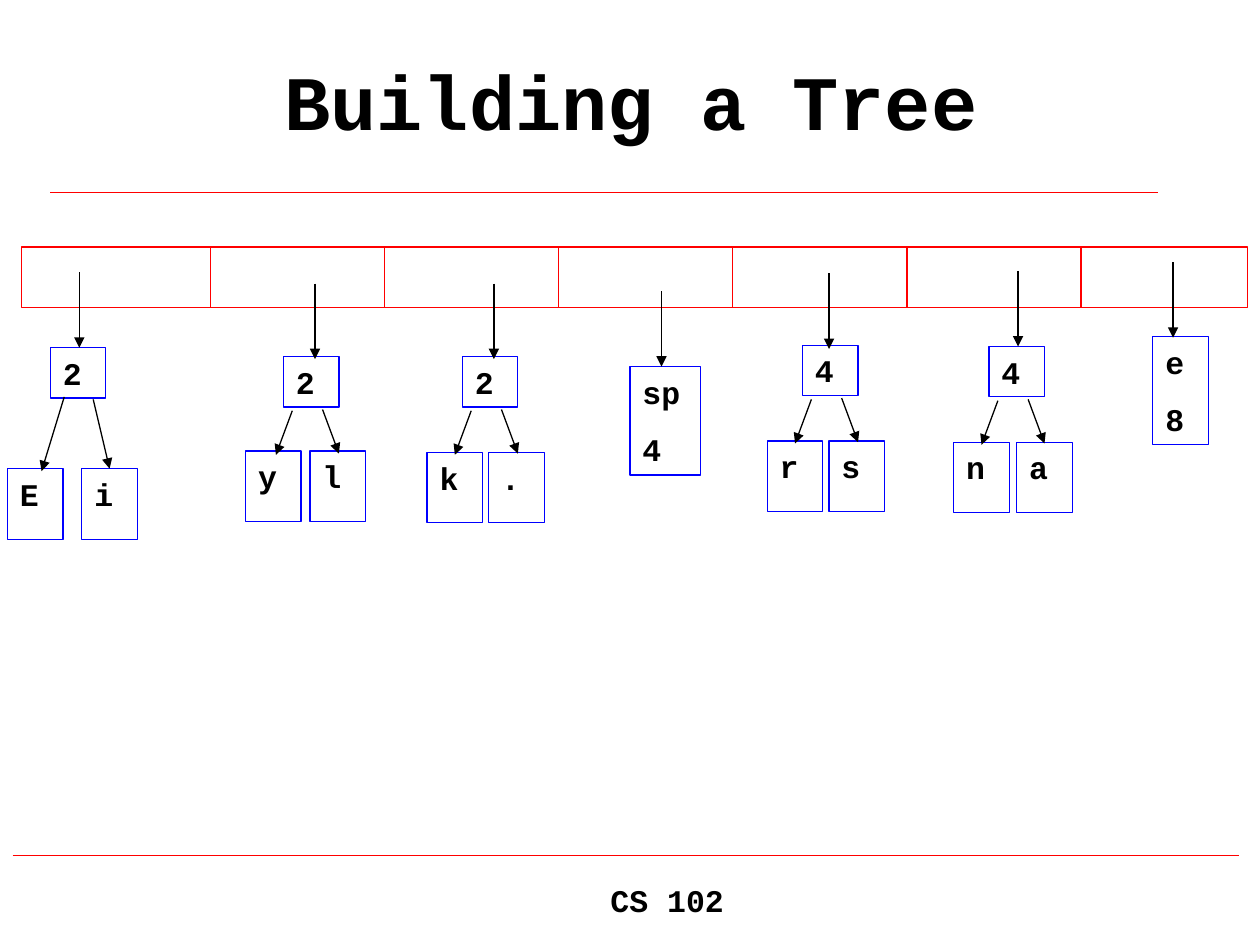
from dataclasses import dataclass

from lxml import etree
from pptx import Presentation
from pptx import util as u
from pptx.dml.color import RGBColor
from pptx.enum import shapes, text
from pptx.oxml.ns import qn

COLORS = {"rule": "FF0000", "node": "0000FF", "ink": "000000", "paper": "FFFFFF"}
FONT = "Courier New"
NODE_W, ROOT_H, LEAF_H, PAIR_H = 0.44, 0.4, 0.56, 0.86
POINTER = 0.6
BAR_X, BAR_Y, BAR_W, BAR_H = 0.17, 1.96, 9.73, 0.48
FIRST_DIVIDER, LAST_DIVIDER, DIVIDERS = 1.67, 8.58, 6

Edge = tuple[float, float, float, float]


@dataclass
class Leaf:
    char: str
    x: float


@dataclass
class Tree:
    weight: str
    x: float
    y: float
    leaves: tuple[Leaf, Leaf]
    pointer: tuple[float, float]
    drop: float = 0.76
    edges: tuple[Edge, Edge] = ((0.07, 0.43, -0.06, 0.78), (0.31, 0.42, 0.44, 0.77))


@dataclass
class Single:
    lines: tuple[str, str]
    x: float
    y: float
    w: float
    pointer: tuple[float, float]


TREES = [
    Tree("2", 0.4, 2.76, (Leaf("E", 0.06), Leaf("i", 0.65)), (0.63, 2.16), 0.96,
         ((0.11, 0.39, -0.07, 0.98), (0.34, 0.41, 0.47, 0.96))),
    Tree("2", 2.25, 2.83, (Leaf("y", 1.95), Leaf("l", 2.46)), (2.5, 2.25), 0.75),
    Tree("2", 3.67, 2.83, (Leaf("k", 3.39), Leaf(".", 3.88)), (3.92, 2.25)),
    Tree("4", 6.37, 2.74, (Leaf("r", 6.09), Leaf("s", 6.58)), (6.58, 2.17)),
    Tree("4", 7.85, 2.75, (Leaf("n", 7.57), Leaf("a", 8.07)), (8.08, 2.15)),
]
SINGLES = [
    Single(("sp", "4"), 5, 2.91, 0.56, (5.25, 2.31)),
    Single(("e", "8"), 9.15, 2.67, NODE_W, (9.31, 2.08)),
]


def rgb(name: str) -> RGBColor:
    return RGBColor.from_string(COLORS[name])


def add_run(p, content: str, size: float) -> None:
    r = p.add_run()
    r.text = content
    r.font.name = FONT
    r.font.size = u.Pt(size)
    r.font.bold = True
    r.font.color.rgb = rgb("ink")


def add_line(s, x1: float, y1: float, x2: float, y2: float, color: str, arrow: bool = False) -> None:
    c = s.shapes.add_connector(shapes.MSO_CONNECTOR.STRAIGHT,
                               u.Inches(x1), u.Inches(y1), u.Inches(x2), u.Inches(y2))
    c.line.color.rgb = rgb(color)
    c.line.width = u.Pt(0.75)
    if arrow:
        etree.SubElement(c.line._get_or_add_ln(), qn("a:tailEnd"), type="triangle")
    etree.SubElement(c._element.spPr, qn("a:effectLst"))


def add_box(s, x: float, y: float, w: float, h: float, color: str):
    sp = s.shapes.add_shape(shapes.MSO_SHAPE.RECTANGLE,
                            u.Inches(x), u.Inches(y), u.Inches(w), u.Inches(h))
    sp.shadow.inherit = False
    sp.fill.background()
    sp.line.color.rgb = rgb(color)
    sp.line.width = u.Pt(0.75)
    return sp


def add_node(s, x: float, y: float, w: float, h: float, *lines: str) -> None:
    tf = add_box(s, x, y, w, h, "node").text_frame
    tf.word_wrap = True
    tf.vertical_anchor = text.MSO_ANCHOR.TOP
    for i, line in enumerate(lines):
        p = tf.add_paragraph() if i else tf.paragraphs[0]
        p.alignment = text.PP_ALIGN.LEFT
        p.space_before = u.Pt(11.2)
        add_run(p, line, 18)


def add_pointer(s, x: float, y: float) -> None:
    add_line(s, x, y, x, y + POINTER, "ink", arrow=True)


def add_tree(s, tree: Tree) -> None:
    add_node(s, tree.x, tree.y, NODE_W, ROOT_H, tree.weight)
    for leaf, (x1, y1, x2, y2) in zip(tree.leaves, tree.edges):
        add_node(s, leaf.x, tree.y + tree.drop, NODE_W, LEAF_H, leaf.char)
        add_line(s, tree.x + x1, tree.y + y1, tree.x + x2, tree.y + y2, "ink", arrow=True)
    add_pointer(s, *tree.pointer)


def add_queue(s) -> None:
    bar = add_box(s, BAR_X, BAR_Y, BAR_W, BAR_H, "rule")
    bar.fill.solid()
    bar.fill.fore_color.rgb = rgb("paper")
    step = (LAST_DIVIDER - FIRST_DIVIDER) / (DIVIDERS - 1)
    for i in range(DIVIDERS):
        x = FIRST_DIVIDER + i * step
        add_line(s, x, BAR_Y, x, BAR_Y + BAR_H, "rule")


def add_heading(s) -> None:
    sp = s.shapes.title
    sp.left, sp.top, sp.width, sp.height = (u.Inches(v) for v in (0.76, 0.17, 8.5, 1.25))
    tf = sp.text_frame
    tf.auto_size = text.MSO_AUTO_SIZE.NONE
    tf.vertical_anchor = text.MSO_ANCHOR.MIDDLE
    p = tf.paragraphs[0]
    p.alignment = text.PP_ALIGN.CENTER
    add_run(p, "Building a Tree", 44)


def add_footer(s) -> None:
    sp = s.shapes.add_textbox(u.Inches(2.68), u.Inches(6.94), u.Inches(5.23), u.Inches(0.5))
    tf = sp.text_frame
    tf.word_wrap = True
    p = tf.paragraphs[0]
    p.alignment = text.PP_ALIGN.CENTER
    add_run(p, "CS 102", 18)


def main() -> None:
    prs = Presentation()
    prs.slide_width, prs.slide_height = u.Inches(10), u.Inches(7.5)
    s = prs.slides.add_slide(prs.slide_layouts[5])
    add_line(s, 0.4, 1.53, 9.19, 1.53, "rule")
    add_line(s, 0.1, 6.79, 9.83, 6.79, "rule")
    add_footer(s)
    add_heading(s)
    add_queue(s)
    for tree in TREES:
        add_tree(s, tree)
    for node in SINGLES:
        add_node(s, node.x, node.y, node.w, PAIR_H, *node.lines)
        add_pointer(s, *node.pointer)
    prs.save("out.pptx")


if __name__ == "__main__":
    main()
